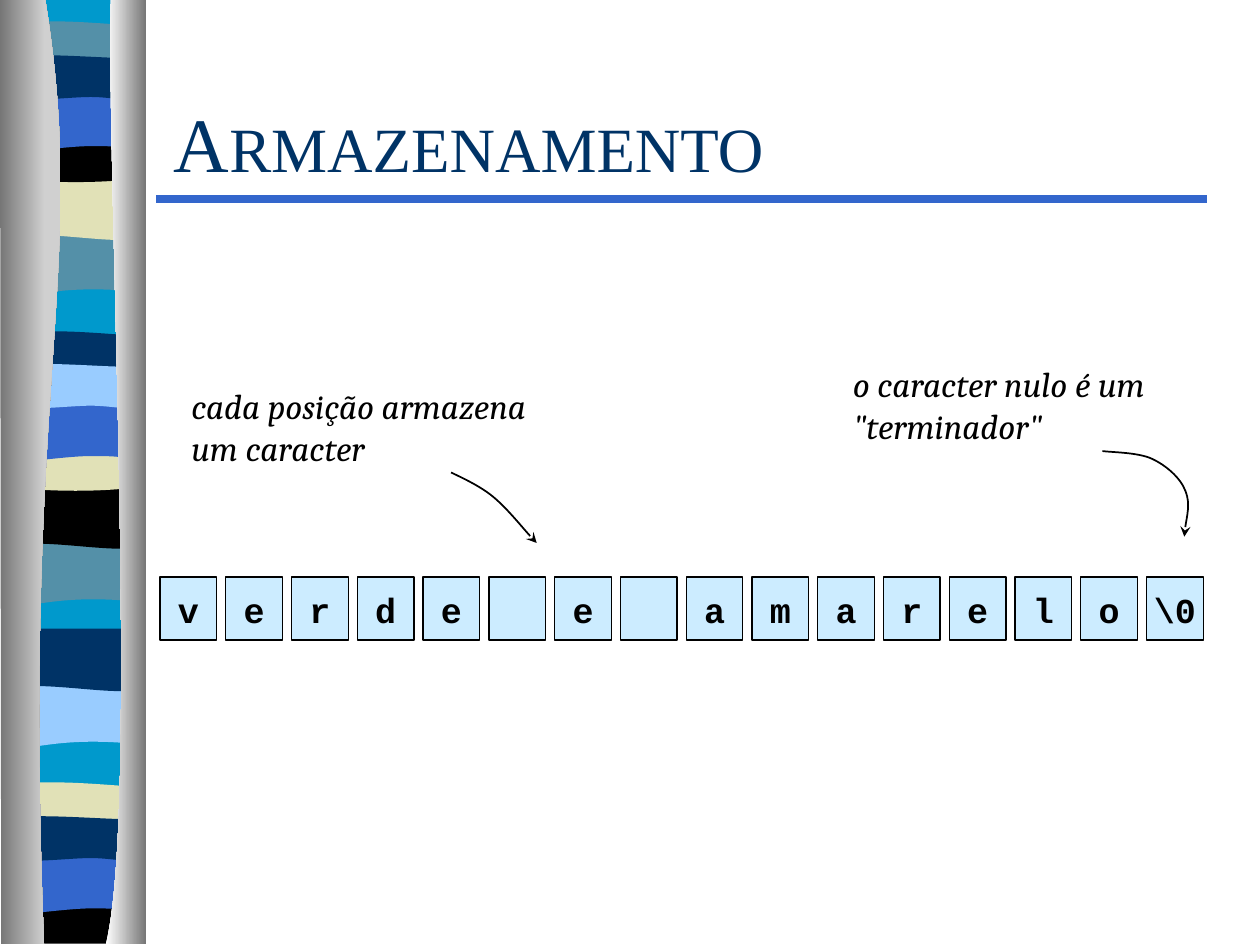
import pptx
import pptx.dml.color
import pptx.enum.shapes
import pptx.enum.text
import pptx.oxml
import pptx.oxml.ns
import pptx.util
import lxml.etree

Inches = pptx.util.Inches
Pt = pptx.util.Pt
RGBColor = pptx.dml.color.RGBColor
Anchor = pptx.enum.text.MSO_ANCHOR
Align = pptx.enum.text.PP_ALIGN
qn = pptx.oxml.ns.qn

NAVY = RGBColor(0x00, 0x33, 0x66)
BLUE = RGBColor(0x33, 0x66, 0xCC)
CYAN = RGBColor(0x00, 0x99, 0xCC)
TEAL = RGBColor(0x54, 0x90, 0xA8)
SKY = RGBColor(0x99, 0xCC, 0xFF)
SAND = RGBColor(0xE1, 0xE1, 0xB7)
CELL = RGBColor(0xCC, 0xEC, 0xFF)
BLACK = RGBColor(0x00, 0x00, 0x00)
WHITE = RGBColor(0xFF, 0xFF, 0xFF)
GRAY = RGBColor(0x76, 0x76, 0x76)
SILVER = RGBColor(0xD0, 0xD0, 0xD0)

DROP = [(1.08, 0), (1.08, 0.47), (0.33, 0.39, 0.18, 0.55, 0, 0.47), (0, 0)]
WAVE = [(1.08, 0), (1.08, 0.47), (0.9, 0.55, 0.33, 0.41, 0, 0.47), (0, 0)]
CREST = [(1.08, 0.05), (1.08, 0.29), (0.9, 0.33, 0.18, 0.33, 0, 0.29), (0, 0.05),
         (0.06, 0, 0.23, 0.01, 0.41, 0.01), (0.59, 0.01, 0.94, 0.04, 1.08, 0.05)]
BOWL = [(1.08, 0), (1.08, 0.32), (0.9, 0.38, 0.18, 0.38, 0, 0.32), (0, 0),
        (0.66, 0.05, 0.85, 0, 1.08, 0)]
FLOOR = [(1.08, 0), (1.08, 0.37), (0, 0.37), (0, 0), (0.66, 0.05, 0.85, 0, 1.08, 0)]
ARCH = [(1.08, 0), (1.08, 0.47), (0.91, 0.42, 0.84, 0.42, 0.66, 0.42),
        (0.48, 0.42, 0.16, 0.47, 0, 0.47), (0, 0)]
RIPPLE = [(1.08, 0.05), (1.08, 0.36), (1.01, 0.41, 0.84, 0.36, 0.66, 0.36),
          (0.48, 0.36, 0.11, 0.41, 0, 0.36), (0, 0.05), (0.15, 0, 0.73, 0.05, 0.91, 0.05)]

STRIPES = [
    (DROP, 1.85, TEAL), (WAVE, 1.41, SAND), (CREST, 0.16, TEAL),
    (BOWL, 1.08, BLACK), (ARCH, 0.74, BLUE), (RIPPLE, 0.41, NAVY),
    (DROP, 4.31, TEAL), (WAVE, 3.86, BLACK), (CREST, 2.62, NAVY),
    (BOWL, 3.53, SAND), (ARCH, 3.2, BLUE), (RIPPLE, 2.86, SKY),
    (DROP, 5.44, SKY), (WAVE, 4.99, NAVY), (CREST, 6.2, SAND),
    (FLOOR, 7.12, BLACK), (ARCH, 6.79, BLUE), (RIPPLE, 6.45, NAVY),
]
LEFT_EDGE = [(0.36, 0), (0.71, 2.16, 0.17, 2.96, 0.35, 7.49), (0.01, 7.49), (0, 0)]
RIGHT_EDGE = [(0.88, 0), (0.84, 1.25, 1.11, 6.46, 0.84, 7.49), (1.16, 7.49), (1.16, 0)]


def draw_outline(page, left, top, outline, close=True):
    steps = [[(Inches(left + x), Inches(top + y)) for x, y in zip(step[::2], step[1::2])]
             for step in outline]
    builder = page.shapes.build_freeform(*steps[0][0])
    builder.add_line_segments([step[-1] for step in steps[1:]], close=close)
    shape = builder.convert_to_shape()
    shape.shadow.inherit = False
    segments = list(shape._element.iter(qn("a:lnTo")))
    for segment, step in zip(segments, steps[1:]):
        if len(step) == 3:
            segment.tag = qn("a:cubicBezTo")
            for position, (x, y) in enumerate(step[:2]):
                point = lxml.etree.Element(qn("a:pt"), x=str(x - shape.left), y=str(y - shape.top))
                segment.insert(position, point)
    return shape


def draw_band(page, left, top, outline, color):
    band = draw_outline(page, left, top, outline)
    band.fill.solid()
    band.fill.fore_color.rgb = color
    band.line.fill.background()


def draw_edge(page, left, top, outline, colors):
    edge = draw_outline(page, left, top, outline)
    edge.fill.gradient()
    edge.fill.gradient_angle = 0
    for stop, position, color in zip(edge.fill.gradient_stops, (0, 1), colors):
        stop.position = position
        stop.color.rgb = color
    edge.line.fill.background()


def draw_ribbon(page, left, top, height):
    ground = [(1.08, 0), (1.08, height), (0, height), (0, 0)]
    draw_band(page, left + 0.06, top, ground, CYAN)
    for outline, offset, color in STRIPES:
        draw_band(page, left + 0.06, top + offset, outline, color)
    draw_edge(page, left, top, LEFT_EDGE, (GRAY, SILVER))
    draw_edge(page, left, top, RIGHT_EDGE, (WHITE, GRAY))


def add_text_box(page, left, top, width, height, anchor):
    box = page.shapes.add_textbox(Inches(left), Inches(top), Inches(width), Inches(height))
    box.text_frame.word_wrap = True
    box.text_frame.vertical_anchor = anchor
    return box.text_frame.paragraphs[0]


def draw_title(page, left, top, width, height):
    para = add_text_box(page, left, top, width, height, Anchor.MIDDLE)
    para.font.name = "Times New Roman"
    para.font.color.rgb = NAVY
    for text, size in (("A", 44), ("RMAZENAMENTO", 36)):
        span = para.add_run()
        span.text = text
        span.font.size = Pt(size)
    rule_top = Inches(top + 1.08)
    rule = page.shapes.add_connector(pptx.enum.shapes.MSO_CONNECTOR.STRAIGHT,
                                     Inches(left - 0.04), rule_top, Inches(left + 8.3), rule_top)
    rule.line.color.rgb = BLUE
    rule.line.width = Pt(4.5)
    lxml.etree.SubElement(rule._element.spPr, qn("a:effectLst"))


def draw_cells(page, left, top, width, height, symbols):
    cell_width = 0.45
    pitch = (width - cell_width) / (len(symbols) - 1)
    for index, symbol in enumerate(symbols):
        cell = page.shapes.add_shape(pptx.enum.shapes.MSO_SHAPE.RECTANGLE,
                                     Inches(left + index * pitch), Inches(top),
                                     Inches(cell_width), Inches(height))
        cell.shadow.inherit = False
        cell.fill.solid()
        cell.fill.fore_color.rgb = CELL
        cell.line.color.rgb = BLACK
        cell.line.width = Pt(0.75)
        if symbol == " ":
            continue
        frame = cell.text_frame
        frame.vertical_anchor = Anchor.TOP
        frame.margin_left = frame.margin_right = Inches(0.02)
        frame.margin_top = Inches(0.09)
        para = frame.paragraphs[0]
        para.text = symbol
        para.alignment = Align.CENTER
        para.font.name = "Courier New"
        para.font.size = Pt(20)
        para.font.bold = True
        para.font.color.rgb = BLACK


def draw_note(page, left, top, width, height, text, arrow):
    para = add_text_box(page, left, top, width, height, Anchor.TOP)
    para.text = text
    para.font.name = "Cambria"
    para.font.size = Pt(20)
    para.font.italic = True
    para.font.color.rgb = BLACK
    pointer = draw_outline(page, left, top, arrow, close=False)
    pointer.fill.background()
    pointer.line.color.rgb = BLACK
    pointer.line.width = Pt(1)
    lxml.etree.SubElement(pointer.line._get_or_add_ln(), qn("a:tailEnd"), type="stealth")


def main():
    deck = pptx.Presentation()
    deck.slide_width = Inches(10)
    deck.slide_height = Inches(7.5)
    page = deck.slides.add_slide(deck.slide_layouts[6])
    draw_ribbon(page, 0, 0, 7.48)
    draw_title(page, 1.28, 0.5, 8.5, 1.25)
    draw_cells(page, 1.27, 4.58, 8.28, 0.5, [*"verde e amarelo", "\\0"])
    draw_note(page, 1.42, 3, 3.14, 0.66, "cada posição armazena um caracter",
              [(2.16, 0.75), (2.22, 0.78, 2.38, 0.85, 2.49, 0.94), (2.6, 1.03, 2.76, 1.23, 2.84, 1.31)])
    draw_note(page, 6.67, 2.83, 2.69, 0.66, "o caracter nulo é um \"terminador\"",
              [(2.08, 0.75), (2.15, 0.76, 2.36, 0.76, 2.47, 0.81),
               (2.58, 0.86, 2.7, 0.96, 2.74, 1.07), (2.78, 1.17, 2.73, 1.36, 2.73, 1.43)])
    deck.save("out.pptx")


if __name__ == "__main__":
    main()
